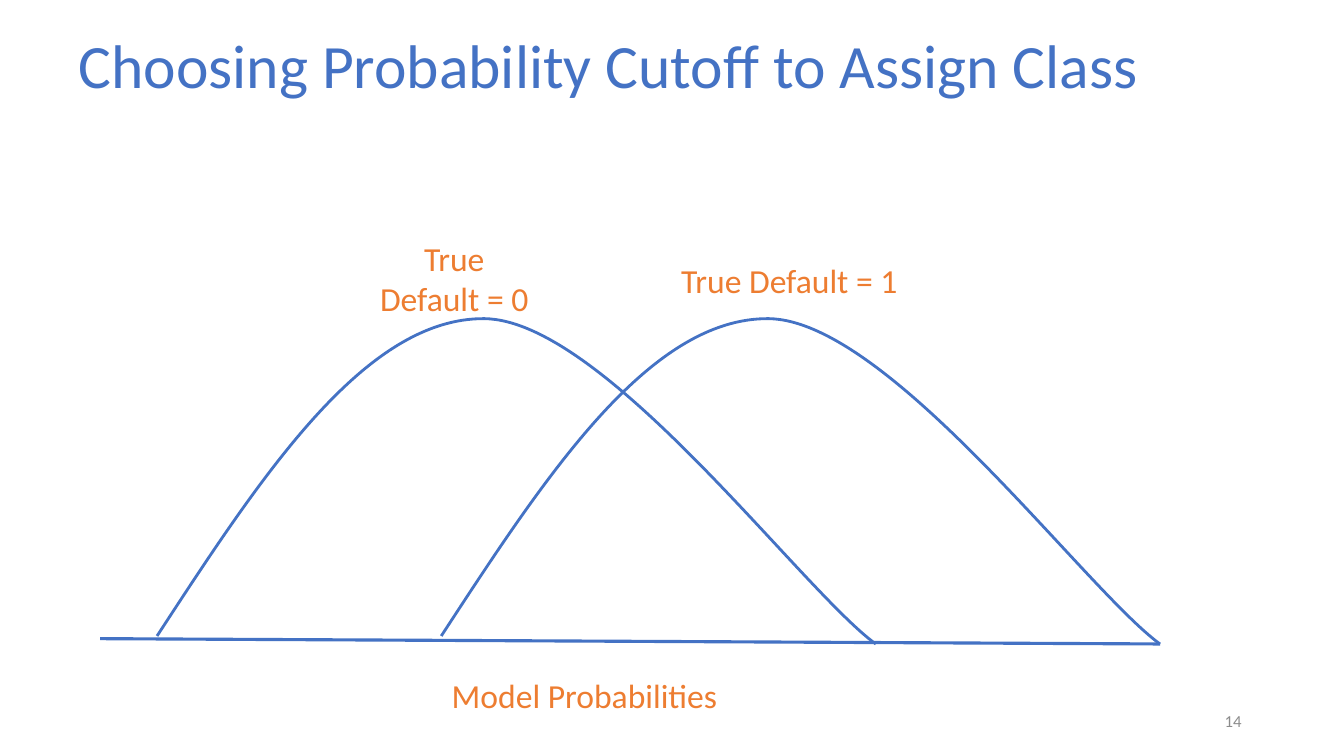
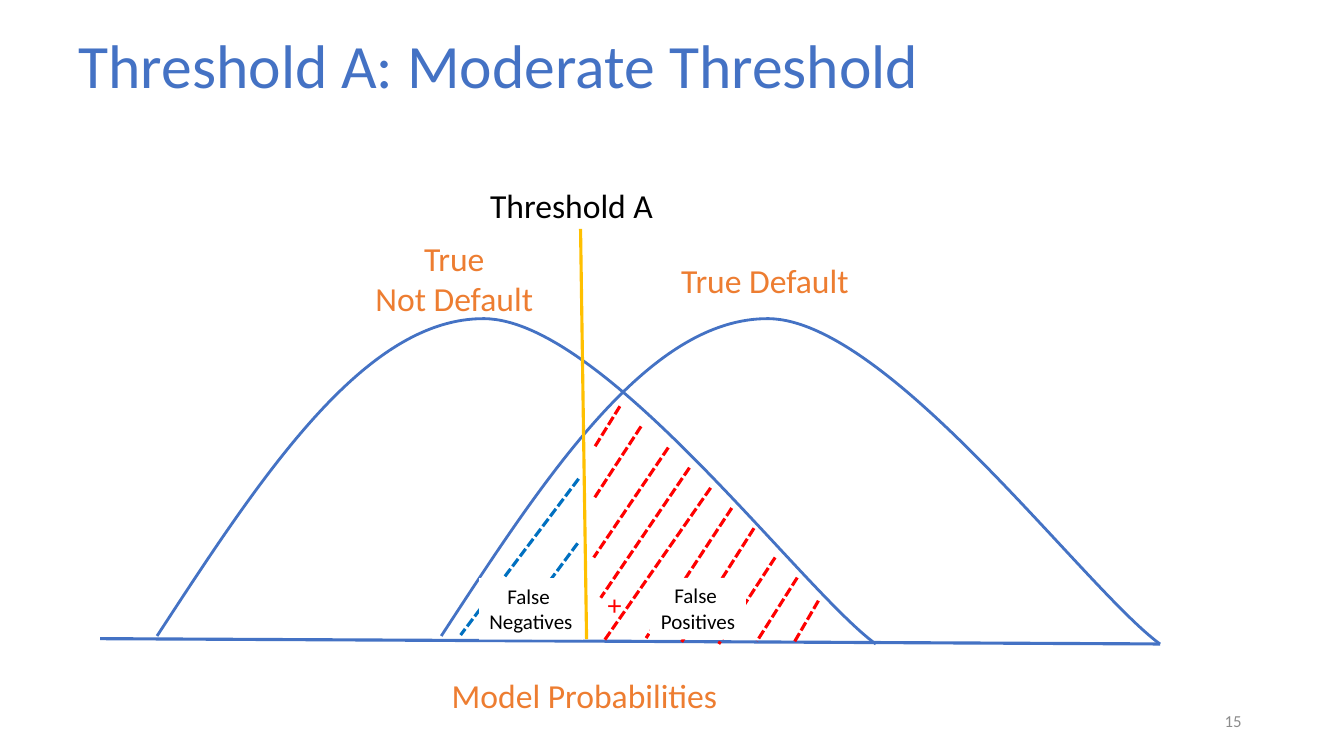
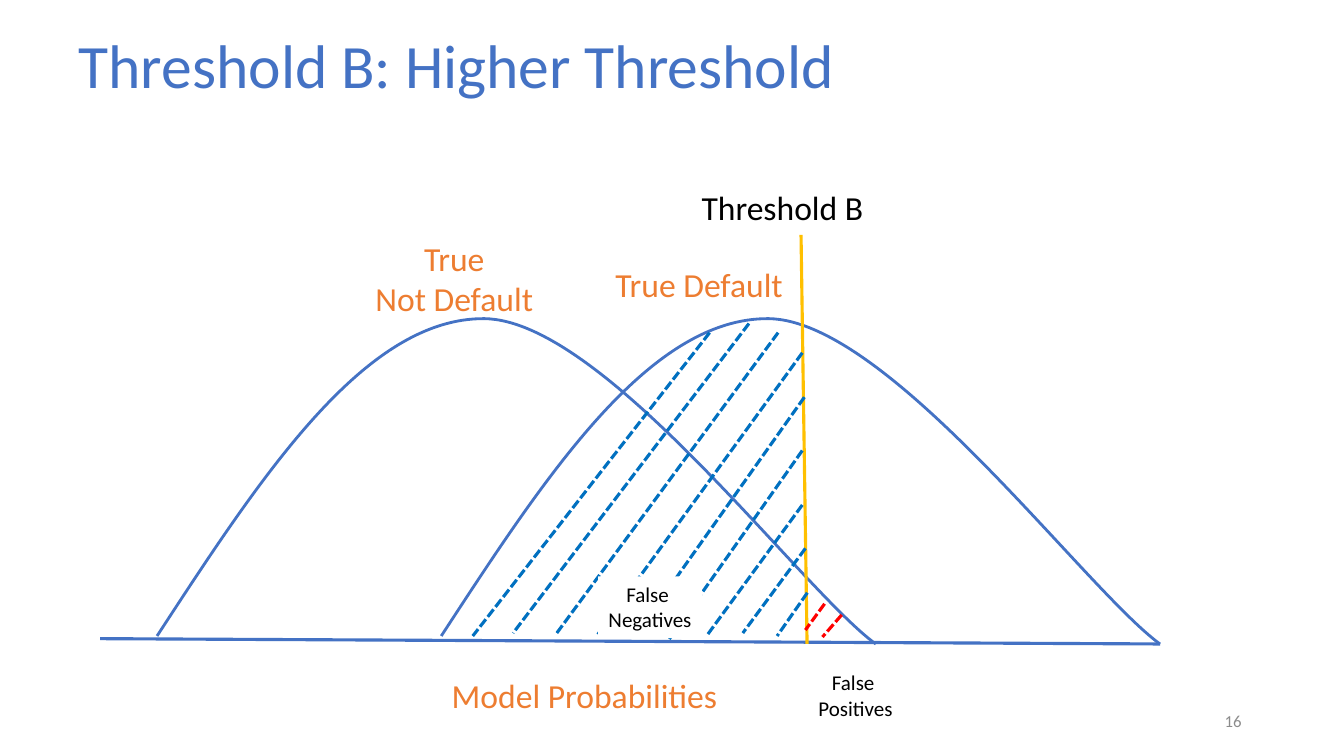
from pptx import Presentation
from pptx.dml.color import RGBColor
from pptx.enum.dml import MSO_LINE
from pptx.enum.shapes import MSO_CONNECTOR
from pptx.enum.text import MSO_ANCHOR, PP_ALIGN
from pptx.oxml.ns import qn
from pptx.util import Pt
from lxml import etree

LEFT, CENTER, RIGHT = PP_ALIGN.LEFT, PP_ALIGN.CENTER, PP_ALIGN.RIGHT
TOP, MIDDLE = MSO_ANCHOR.TOP, MSO_ANCHOR.MIDDLE
STRAIGHT = MSO_CONNECTOR.STRAIGHT
SHORT_DASH = MSO_LINE.SQUARE_DOT

FONT = "Calibri"
BLUE = "4472C4"
ORANGE = "ED7D31"
GOLD = "FFC000"
RED = "FF0000"
HATCH_BLUE = "0070C0"
BLACK = "000000"
WHITE = "FFFFFF"
GRAY = "8C8C8C"

FIRST_PAGE = 14
CURVE_STARTS = (112.2, 315.2)
CURVE_FOOT = (0, 454.3)
CURVE_SEGMENTS = (
    ((74.2, 340.6), (148.2, 226.8), (234, 227.6)),
    ((319.6, 229), (460, 421.2), (513.4, 460)),
)

MODERATE_POSITIVES = (
    (442.8, 290.2, 424.1, 320.4),
    (457.9, 304.6, 424.1, 356.4),
    (477.4, 319.7, 424.1, 398.2),
    (492.5, 334.1, 429.1, 427),
    (507.6, 348.5, 431.3, 458),
    (522.7, 362.9, 461.5, 455.8),
    (538.6, 377.3, 486, 460),
    (553.7, 398.2, 513.4, 460),
    (569.5, 412.6, 540.7, 458),
    (584.6, 429.1, 566.6, 460),
)
MODERATE_NEGATIVES = (
    (413.3, 342, 329, 453.6),
    (412.6, 388.1, 362.9, 455),
)
HIGHER_NEGATIVES = (
    (506.9, 237.6, 337.7, 454.3),
    (535, 231.1, 366.5, 452.2),
    (555.8, 237.6, 396.7, 453.6),
    (573.1, 252, 426.2, 454.3),
    (574.6, 283.7, 455, 452.2),
    (573.1, 321.8, 478.1, 456.5),
    (573.1, 360.7, 504.7, 454.3),
    (575.3, 391.7, 530.6, 452.2),
    (576.7, 423.4, 555.1, 454.3),
)
HIGHER_POSITIVES = (
    (589, 431.3, 575.3, 450),
    (601.2, 439.2, 587.5, 455),
)


def color(value):
    return RGBColor.from_string(value)


def add_text(slide, box, lines, size, text_color, align=LEFT, anchor=TOP,
             wrap=False, spacing=None):
    shape = slide.shapes.add_textbox(*map(Pt, box))
    frame = shape.text_frame
    frame.word_wrap = wrap
    frame.vertical_anchor = anchor
    frame.text = "\n".join(lines)
    for paragraph in frame.paragraphs:
        paragraph.alignment = align
        if spacing:
            paragraph.line_spacing = spacing
        paragraph.font.name = FONT
        paragraph.font.size = Pt(size)
        paragraph.font.color.rgb = color(text_color)
    return shape


def add_label(slide, left, top, width, text, text_color=ORANGE):
    add_text(slide, (left, top, width, 36), [text], 24, text_color)


def add_error_label(slide, left, top, width, kind):
    shape = add_text(slide, (left, top, width, 44), ["False ", kind], 15, BLACK, CENTER)
    shape.fill.solid()
    shape.fill.fore_color.rgb = color(WHITE)


def add_line(slide, ends, line_color, dash=None):
    connector = slide.shapes.add_connector(STRAIGHT, *map(Pt, ends))
    connector.line.color.rgb = color(line_color)
    connector.line.width = Pt(2.25)
    if dash:
        connector.line.dash_style = dash
    etree.SubElement(connector._element.spPr, qn("a:effectLst"))


def add_hatching(slide, strokes, line_color):
    for ends in strokes:
        add_line(slide, ends, line_color, SHORT_DASH)


def add_curve(slide, start):
    def place(point):
        return Pt(start + point[0]), Pt(point[1])

    builder = slide.shapes.build_freeform(*place(CURVE_FOOT))
    builder.add_line_segments([place(segment[-1]) for segment in CURVE_SEGMENTS],
                              close=False)
    shape = builder.convert_to_shape()
    straight_parts = list(shape._element.iter(qn("a:lnTo")))
    for straight, segment in zip(straight_parts, CURVE_SEGMENTS):
        bezier = etree.Element(qn("a:cubicBezTo"))
        for x, y in map(place, segment):
            etree.SubElement(bezier, qn("a:pt"),
                             x=str(x - shape.left), y=str(y - shape.top))
        straight.getparent().replace(straight, bezier)
    shape.shadow.inherit = False
    shape.fill.background()
    shape.line.color.rgb = color(BLUE)
    shape.line.width = Pt(2)


def add_base_slide(presentation, title, negative_lines):
    slide = presentation.slides.add_slide(presentation.slide_layouts[6])
    page = FIRST_PAGE + len(presentation.slides) - 1
    add_text(slide, (678, 500.5, 216, 28.8), [str(page)], 12, GRAY, RIGHT, MIDDLE, True)
    add_text(slide, (49, 6.5, 856, 85), [title], 44, BLUE, LEFT, MIDDLE, True, 0.9)
    add_line(slide, (71.5, 456.2, 828.7, 460), BLUE)
    for start in CURVE_STARTS:
        add_curve(slide, start)
    add_text(slide, (260.5, 166.3, 128, 65.5), negative_lines, 24, ORANGE, CENTER)
    add_label(slide, 315.6, 478.8, 211.7, "Model Probabilities")
    return slide


def build_cutoff(presentation):
    slide = add_base_slide(presentation, "Choosing Probability Cutoff to Assign Class",
                           ["True", "Default = 0"])
    add_label(slide, 479.5, 182, 170.6, "True Default = 1")


def build_moderate(presentation):
    slide = add_base_slide(presentation, "Threshold A: Moderate Threshold",
                           ["True", "Not Default"])
    add_label(slide, 479.5, 182, 135.4, "True Default")
    add_line(slide, (414.7, 163.5, 419, 456.5), GOLD)
    add_label(slide, 343, 128.9, 131.8, "Threshold A", BLACK)
    add_text(slide, (427, 415.8, 36, 39.6), ["+"], 20, RED)
    add_hatching(slide, MODERATE_POSITIVES, RED)
    add_hatching(slide, MODERATE_NEGATIVES, HATCH_BLUE)
    add_error_label(slide, 464.4, 412.8, 68.4, "Positives")
    add_error_label(slide, 342.2, 413, 74.2, "Negatives")


def build_higher(presentation):
    slide = add_base_slide(presentation, "Threshold B: Higher Threshold",
                           ["True", "Not Default"])
    add_label(slide, 432.5, 185, 135.4, "True Default")
    add_line(slide, (572.2, 167.8, 576.5, 460), GOLD)
    add_label(slide, 494, 129.9, 131, "Threshold B", BLACK)
    add_hatching(slide, HIGHER_NEGATIVES, HATCH_BLUE)
    add_hatching(slide, HIGHER_POSITIVES, RED)
    add_error_label(slide, 576.9, 475, 68.4, "Positives")
    add_error_label(slide, 427.2, 411.8, 74.2, "Negatives")


def main():
    presentation = Presentation()
    presentation.slide_width = Pt(960)
    presentation.slide_height = Pt(540)
    build_cutoff(presentation)
    build_moderate(presentation)
    build_higher(presentation)
    presentation.save("out.pptx")


if __name__ == "__main__":
    main()
